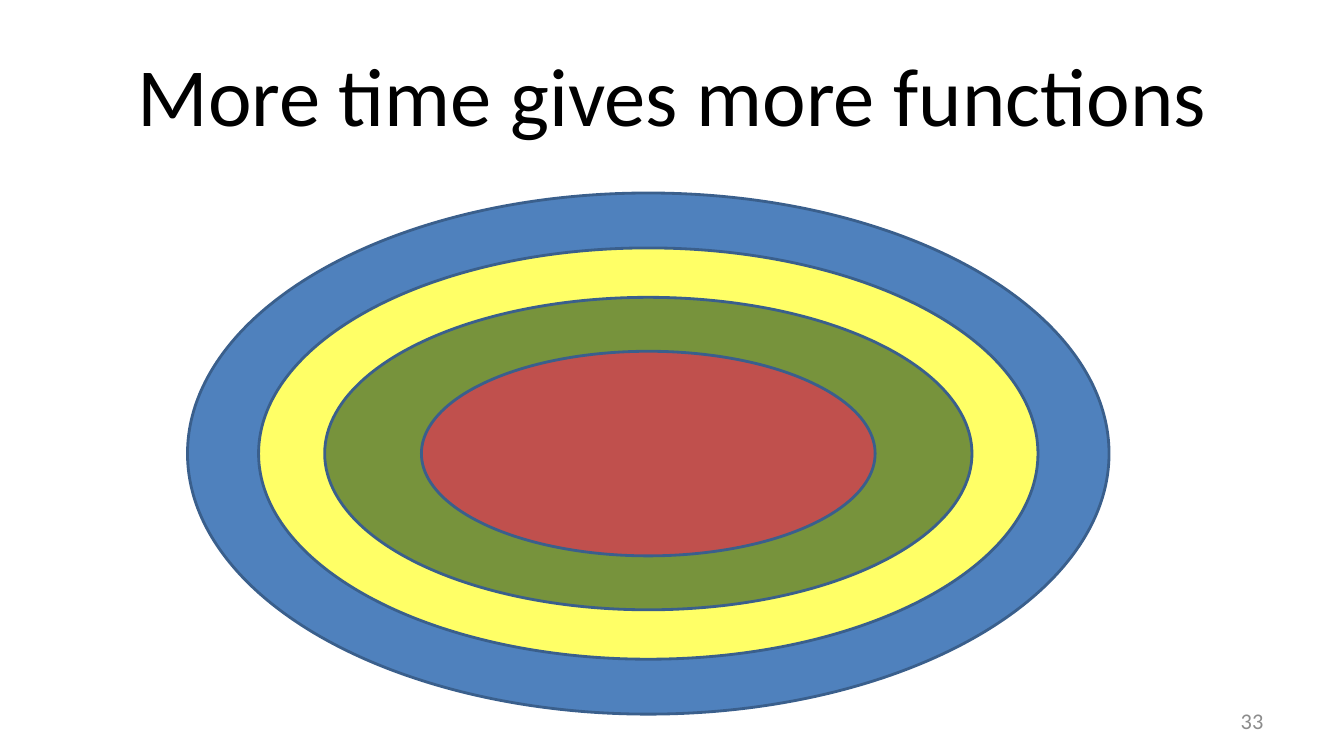
from pptx import Presentation
from pptx.dml.color import RGBColor
from pptx.enum.shapes import MSO_SHAPE
from pptx.enum.text import MSO_ANCHOR, PP_ALIGN
from pptx.util import Inches, Pt

COLORS = {
    "title": "000000",
    "number": "8C8C8C",
    "outline": "3A5F8C",
    "blue": "4F81BD",
    "yellow": "FFFF66",
    "green": "77933C",
    "red": "C0504D",
}
CENTER_X, CENTER_Y = 6.43, 4.5

# Width, height and fill of each nested class, outermost first
RINGS = [
    (9.14, 5.17, "blue"),
    (7.73, 4.08, "yellow"),
    (6.42, 3.1, "green"),
    (4.5, 2.03, "red"),
]


def color(name):
    return RGBColor.from_string(COLORS[name])


def add_text(page, text, left, top, width, height, size, color_name, align):
    box = page.shapes.add_textbox(
        Inches(left), Inches(top), Inches(width), Inches(height))
    frame = box.text_frame
    frame.word_wrap = True
    frame.vertical_anchor = MSO_ANCHOR.MIDDLE
    frame.margin_left = frame.margin_right = Inches(0.13)
    frame.margin_top = frame.margin_bottom = Inches(0.07)
    frame.text = text
    para = frame.paragraphs[0]
    para.alignment = align
    font = para.runs[0].font
    font.name = "Calibri"
    font.size = Pt(size)
    font.color.rgb = color(color_name)


def add_ring(page, width, height, fill_name):
    ring = page.shapes.add_shape(
        MSO_SHAPE.OVAL,
        Inches(CENTER_X - width / 2), Inches(CENTER_Y - height / 2),
        Inches(width), Inches(height))
    ring.shadow.inherit = False
    ring.fill.solid()
    ring.fill.fore_color.rgb = color(fill_name)
    ring.line.color.rgb = color("outline")
    ring.line.width = Pt(2)


def main():
    deck = Presentation()
    deck.slide_width = Inches(13.33)
    deck.slide_height = Inches(7.5)
    page = deck.slides.add_slide(deck.slide_layouts[6])

    # Title and slide number
    add_text(page, "More time gives more functions",
             0.67, 0.3, 12, 1.25, 59, "title", PP_ALIGN.CENTER)
    add_text(page, "33", 9.55, 6.95, 3.11, 0.4, 16, "number", PP_ALIGN.RIGHT)

    # Nested ellipses
    for width, height, fill_name in RINGS:
        add_ring(page, width, height, fill_name)

    deck.save("out.pptx")


if __name__ == "__main__":
    main()
